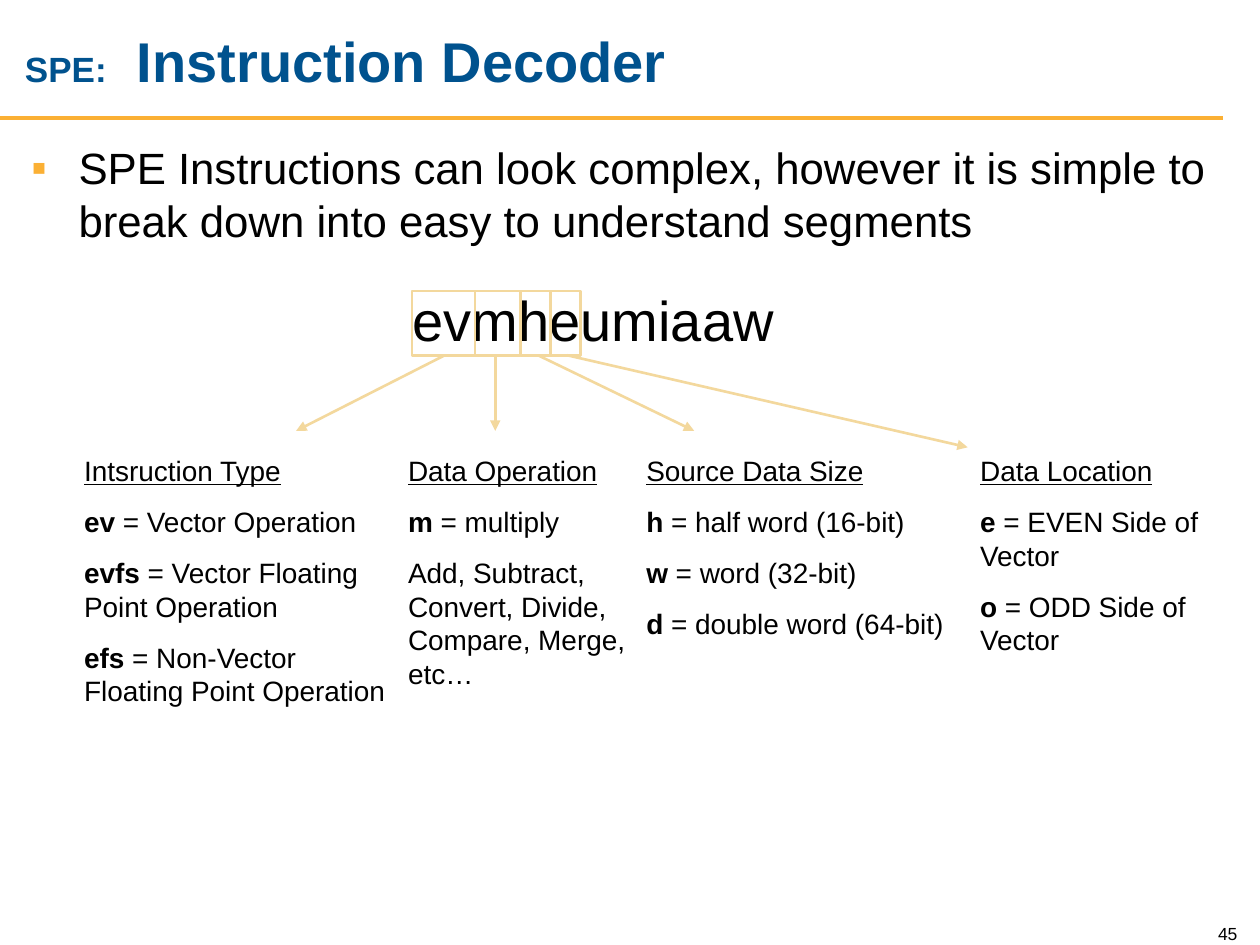
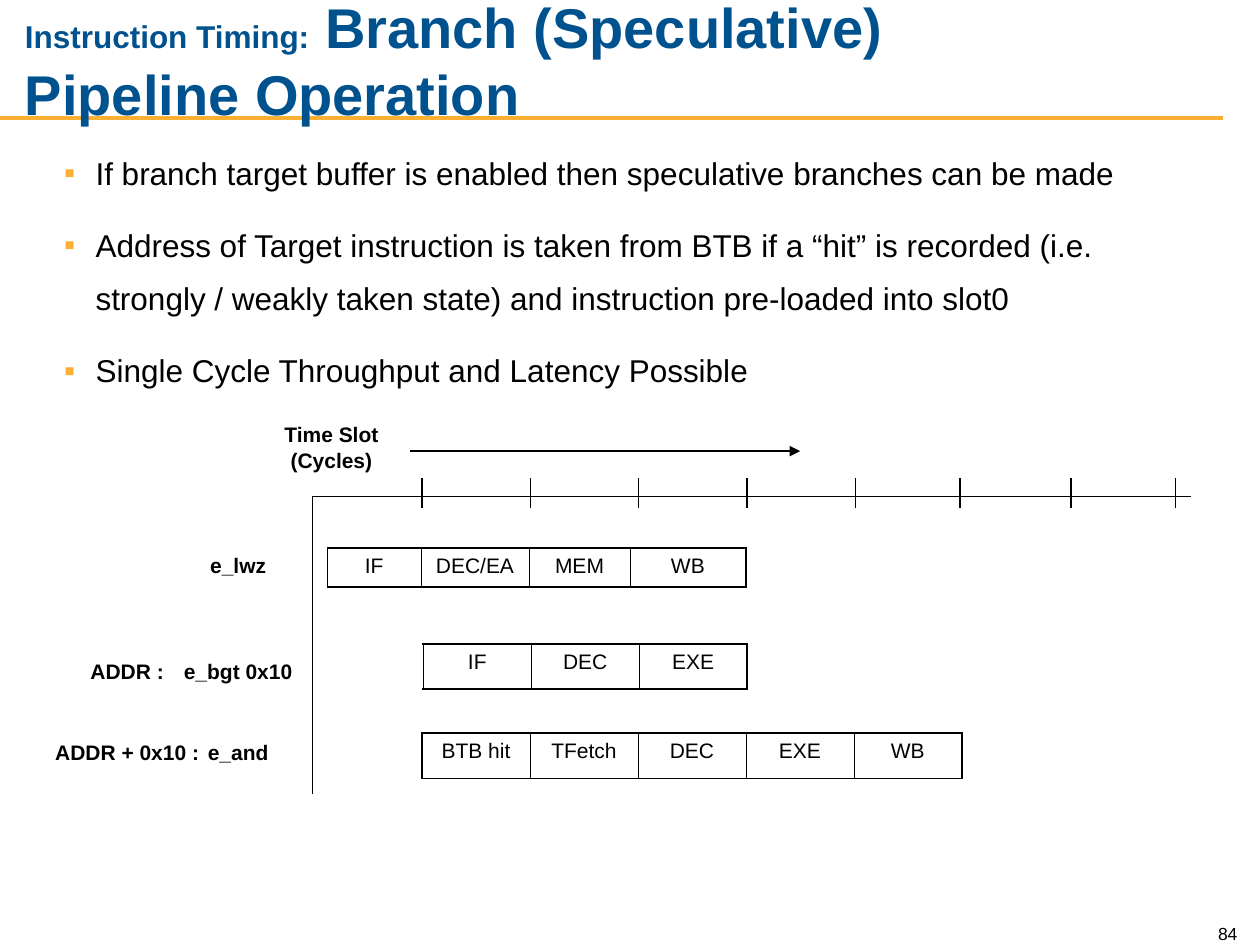
from lxml.etree import SubElement
from pptx import Presentation
from pptx.dml.color import RGBColor
from pptx.enum.shapes import MSO_CONNECTOR, MSO_SHAPE
from pptx.enum.text import MSO_ANCHOR, PP_ALIGN
from pptx.oxml import parse_xml
from pptx.oxml.ns import nsdecls, qn
from pptx.util import Pt

COLORS = {"title": "00528E", "accent": "FBB034", "sand": "F3D89D", "ink": "000000"}
FONT = "Arial"


def add_text(page, area, paragraphs, size, color="ink", bold=False,
             align=PP_ALIGN.LEFT, anchor=MSO_ANCHOR.TOP, gap=0, spacing=None, bullet_indent=None):
    box = page.shapes.add_textbox(*map(Pt, area))
    frame = box.text_frame
    frame.word_wrap = True
    frame.vertical_anchor = anchor
    for index, text in enumerate(paragraphs):
        paragraph = frame.add_paragraph() if index else frame.paragraphs[0]
        paragraph.alignment = align
        if index:
            paragraph.space_before = Pt(gap)
        if spacing:
            paragraph.line_spacing = spacing
        if bullet_indent:
            properties = paragraph._p.get_or_add_pPr()
            properties.set("marL", str(Pt(bullet_indent)))
            properties.set("indent", str(-Pt(bullet_indent)))
            bullet_color = SubElement(properties, qn("a:buClr"))
            SubElement(bullet_color, qn("a:srgbClr"), val=COLORS["accent"])
            SubElement(properties, qn("a:buFont"), typeface=FONT)
            SubElement(properties, qn("a:buChar"), char="▪")
        for part in text.split("|"):
            span = paragraph.add_run()
            span.text = part
            span.font.name = FONT
            span.font.size = Pt(size)
            span.font.bold = bold
            span.font.color.rgb = RGBColor.from_string(COLORS[color])
    return frame


def add_line(page, start, end, color="ink", width=0.75, arrow=False):
    line = page.shapes.add_connector(MSO_CONNECTOR.STRAIGHT, *map(Pt, start + end))
    line.line.color.rgb = RGBColor.from_string(COLORS[color])
    line.line.width = Pt(width)
    if arrow:
        SubElement(line.line._get_or_add_ln(), qn("a:tailEnd"), type="triangle")
    SubElement(line._element.spPr, qn("a:effectLst"))


deck = Presentation()
deck.slide_width, deck.slide_height = Pt(720), Pt(540)

headings = [
    ("SPE:|\tInstruction Decoder", 20, "45"),
    ("Instruction Timing:| Branch (Speculative) Pipeline Operation", 18, "84"),
]
pages = []
for heading, prefix_size, number in headings:
    page = deck.slides.add_slide(deck.slide_layouts[6])
    add_line(page, (0, 67.7), (699.1, 67.7), "accent", 2.25)
    title = add_text(page, (7.2, 7.2, 616.3, 54), [heading], 32, "title", True,
                     anchor=MSO_ANCHOR.MIDDLE).paragraphs[0]
    title.runs[0].font.size = Pt(prefix_size)
    if "\t" in heading:
        tabs = SubElement(title._p.get_or_add_pPr(), qn("a:tabLst"))
        SubElement(tabs, qn("a:tab"), pos=str(Pt(64)), algn="l")
    add_text(page, (678.2, 521.3, 36, 21.6), [number], 10,
             align=PP_ALIGN.RIGHT, anchor=MSO_ANCHOR.BOTTOM)
    pages.append(page)
decoder, timing = pages

add_text(decoder, (10.8, 77, 699.8, 67.7),
         ["SPE Instructions can look complex, however it is simple to break down "
          "into easy to understand segments"], 25, bullet_indent=27)
add_text(decoder, (169.2, 159.8, 339.8, 46.1), ["evmheumiaaw"], 32, align=PP_ALIGN.CENTER)

segments = [
    (36, 254.2, (169.2, 246.2), (41, 194.4, 152.6),
     ["Intsruction Type", "ev| = Vector Operation", "evfs |= Vector Floating Point Operation",
      "efs| = Non-Vector Floating Point Operation"]),
    (25.9, 283, (283, 246.2), (226.1, 162.7, 142.6),
     ["Data Operation", "m| = multiply",
      "Add, Subtract, Convert, Divide, Compare, Merge, etc…"]),
    (17.3, 307.4, (396.7, 246.2), (362.2, 190.8, 143.3),
     ["Source Data Size", "h| = half word (16-bit)", "w| = word (32-bit)",
      "d| = double word (64-bit)"]),
    (17.3, 324, (553, 255.6), (553, 167, 152.6),
     ["Data Location", "e| = EVEN Side of Vector", "o| = ODD Side of Vector"]),
]
segment_left = 235.4
for segment_width, arrow_x, arrow_end, (left, width, height), lines in segments:
    outline = decoder.shapes.add_shape(MSO_SHAPE.RECTANGLE, Pt(segment_left), Pt(166.3),
                                       Pt(segment_width), Pt(36.7))
    outline.shadow.inherit = False
    outline.fill.background()
    outline.line.color.rgb = RGBColor.from_string(COLORS["sand"])
    outline.line.width = Pt(1.5)
    segment_left += segment_width
    add_line(decoder, (arrow_x, 203), arrow_end, "sand", 1.5, arrow=True)
    frame = add_text(decoder, (left, 255.6, width, height), lines, 16, gap=10)
    frame.paragraphs[0].runs[0].font.underline = True
    for paragraph in frame.paragraphs:
        if len(paragraph.runs) > 1:
            paragraph.runs[0].font.bold = True

add_text(timing, (29.5, 75.6, 622.8, 150.5),
         ["If branch target buffer is enabled then speculative branches can be made",
          "Address of Target instruction is taken from BTB if a “hit” is recorded (i.e. "
          "strongly / weakly taken state) and instruction pre-loaded into slot0",
          "Single Cycle Throughput and Latency Possible"],
         18, gap=11.2, spacing=1.4, bullet_indent=18)

add_text(timing, (149.8, 237.6, 79.2, 36), ["Time Slot (Cycles)"], 12,
         bold=True, align=PP_ALIGN.CENTER)
add_line(timing, (234, 257.8), (457.2, 257.8), arrow=True)
add_line(timing, (178.6, 283.7), (680.4, 283.7))
add_line(timing, (178.6, 283.7), (178.6, 453.6))
cycle = 61.9
ticks = [241.2 + cycle * index for index in range(5)] + [548.6, 612, 671.8]
for tick in ticks:
    add_line(timing, (tick, 290.2), (tick, 272.9))

pipelines = [
    ("", "e_lwz", 312.5, (187.2, 313.2, 22.3), [53.3, 61.9, 57.6, 66.2],
     ["IF", "DEC/EA", "MEM", "WB"]),
    ("ADDR :", "e_bgt 0x10", 373, (241.9, 367.9, 25.9), [61.7] * 3, ["IF", "DEC", "EXE"]),
    ("ADDR + 0x10 :", "e_and", 419, (241.2, 419, 25.9), [61.7] * 5,
     ["BTB hit", "TFetch", "DEC", "EXE", "WB"]),
]
for address, instruction, label_top, (left, top, height), widths, stages in pipelines:
    for label, label_left, label_width in [(instruction, 96.5, 79.2), (address, 23, 99.4)]:
        if label:
            add_text(timing, (label_left, label_top, label_width, 21.6), [label], 12,
                     bold=True, align=PP_ALIGN.CENTER)
    table = timing.shapes.add_table(1, len(stages), Pt(left), Pt(top),
                                    Pt(sum(widths)), Pt(height)).table
    table.first_row = table.horz_banding = False
    last = len(stages) - 1
    for index, (width, stage) in enumerate(zip(widths, stages)):
        table.columns[index].width = Pt(width)
        cell = table.cell(0, index)
        cell.fill.background()
        cell.text_frame.text = stage
        paragraph = cell.text_frame.paragraphs[0]
        paragraph.alignment = PP_ALIGN.CENTER
        span = paragraph.runs[0]
        span.font.name = FONT
        span.font.size = Pt(12)
        span.font.bold = False
        span.font.color.rgb = RGBColor.from_string(COLORS["ink"])
        borders = [("lnL", 1.08 if index == 0 else 0.45),
                   ("lnR", 1.08 if index == last else 0.45), ("lnT", 1.08), ("lnB", 1.08)]
        for position, (side, weight) in enumerate(borders):
            cell._tc.get_or_add_tcPr().insert(position, parse_xml(
                f'<a:{side} {nsdecls("a")} w="{Pt(weight)}"><a:solidFill>'
                f'<a:srgbClr val="{COLORS["ink"]}"/></a:solidFill></a:{side}>'))

deck.save("out.pptx")
